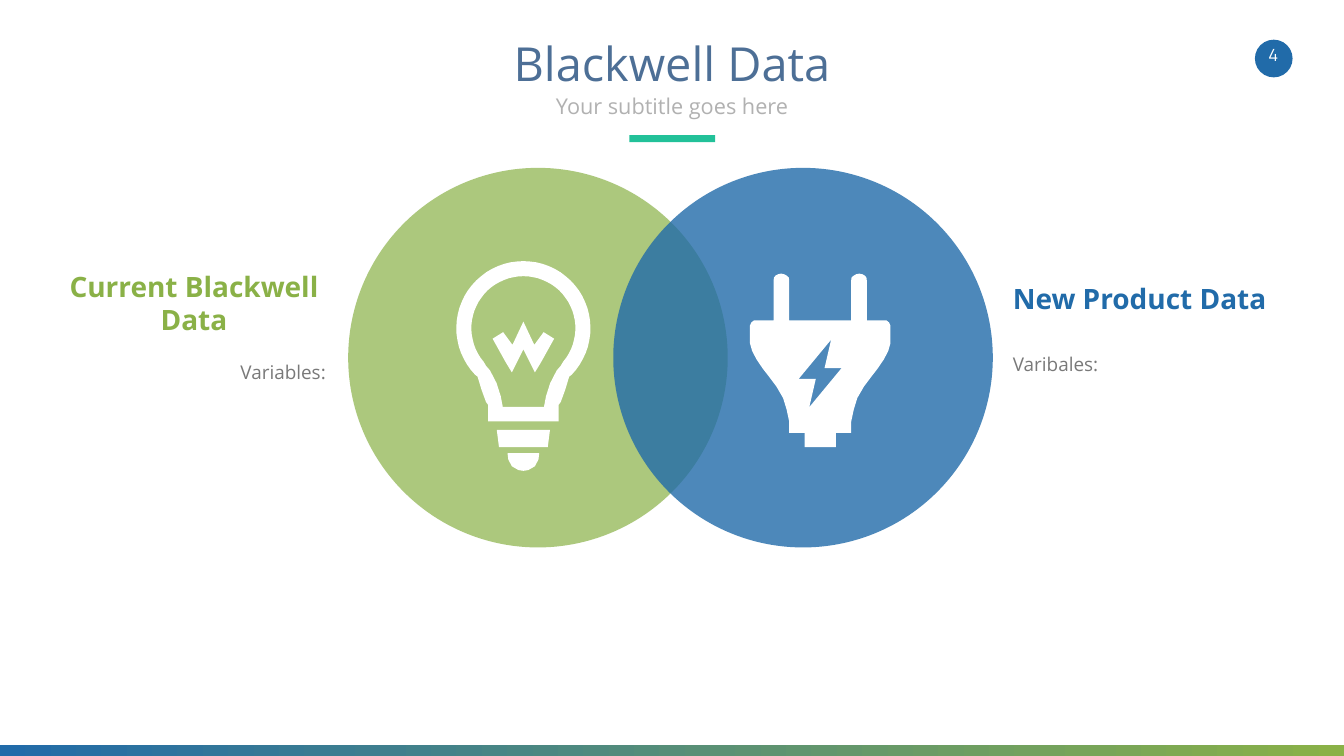
from math import cos, radians, sin

from lxml.etree import SubElement
from pptx import Presentation
from pptx.dml.color import RGBColor
from pptx.enum.shapes import MSO_SHAPE as Shape
from pptx.enum.text import MSO_ANCHOR as Anchor, MSO_AUTO_SIZE as Auto, PP_ALIGN as Align
from pptx.oxml.ns import qn
from pptx.util import Cm, Pt

BLUE, GREEN, TEAL, WHITE = "216BA9", "8AB147", "22C199", "FFFFFF"
SLATE, GREY, PALE = "4D6F96", "797979", "B1B1B1"
UNIT = Cm(0.01)  # icon outlines are in hundredths of a centimetre


def color(code):
    return RGBColor.from_string(code)


def place(item, box):
    item.left, item.top, item.width, item.height = map(Cm, box)


def paint(shape, code, alpha=100):
    shape.shadow.inherit = False
    shape.line.fill.background()
    shape.fill.solid()
    shape.fill.fore_color.rgb = color(code)
    if alpha < 100:
        node = shape.fill._xPr.find(".//" + qn("a:srgbClr"))
        SubElement(node, qn("a:alpha")).set("val", str(alpha * 1000))


def add_shape(slide, kind, box, code, alpha=100):
    shape = slide.shapes.add_shape(kind, *map(Cm, box))
    paint(shape, code, alpha)
    return shape


def add_text(slide, text, box, size, code, item=None, font="Open Sans", bold=False,
             align=Align.LEFT, anchor=Anchor.MIDDLE, pad=(0.25, 0.13), lead=1.0):
    item = item or slide.shapes.add_textbox(0, 0, 0, 0)
    place(item, box)
    frame = item.text_frame
    frame.word_wrap, frame.auto_size = True, Auto.NONE
    frame.vertical_anchor = anchor
    frame.margin_left = frame.margin_right = Cm(pad[0])
    frame.margin_top = frame.margin_bottom = Cm(pad[1])
    para = frame.paragraphs[0]
    para.alignment, para.line_spacing = align, lead
    run = para.add_run()
    run.text = text
    run.font.name, run.font.size, run.font.bold = font, Pt(size), bold
    run.font.color.rgb = color(code)


def add_bar(slide, box):
    bar = add_shape(slide, Shape.RECTANGLE, box, BLUE)
    bar.fill.gradient()
    bar.fill.gradient_angle = 0
    for stop, code, pos in zip(bar.fill.gradient_stops, (BLUE, GREEN), (0, 1)):
        stop.color.rgb = color(code)
        stop.position = pos


def mirror(half):
    return half + [(-x, y) for x, y in reversed(half)]


def arc(mid, radius, end):
    """Points from the top of a circle, clockwise to the end angle."""
    steps = 24
    turns = [radians(-90 + (end + 90) * i / steps) for i in range(steps + 1)]
    return [(radius * cos(t), mid + radius * sin(t)) for t in turns]


def add_icon(slide, left, top, paths):
    """Draw closed outlines around a vertical axis at left."""
    pen = None
    for path in paths:
        spots = [(left * 100 + x, top * 100 + y) for x, y in path]
        if pen is None:
            pen = slide.shapes.build_freeform(*spots[0], scale=UNIT)
        else:
            pen.move_to(*spots[0])
        pen.add_line_segments(spots[1:], close=True)
    paint(pen.convert_to_shape(), WHITE)


def add_plug(slide, left, top):
    body = [(79, 874), (79, 803), (156, 803), (156, 747), (169, 686), (187, 627),
            (220, 570), (255, 523), (290, 478), (321, 432), (343, 390), (354, 351),
            (354, 262), (347, 246), (334, 236)]
    prong = [(235, 236), (235, 36), (233, 20), (225, 10), (212, 3), (197, 0),
             (182, 3), (169, 10), (158, 20), (156, 36), (156, 236)]
    bolt = [(108, 476), (-55, 673), (-22, 530), (-108, 530), (55, 333), (22, 476)]
    add_icon(slide, left, top, [mirror(body + prong), bolt])


def add_bulb(slide, left, top):
    mid = 343
    outer = arc(mid, 338, 44) + [(231, 587), (211, 653), (188, 716), (178, 729), (178, 813)]
    inner = arc(mid, 262, 40) + [(188, 533), (168, 556), (135, 620), (114, 686), (104, 739)]
    wire = [(0, 310), (55, 427), (102, 363), (155, 396), (90, 513), (58, 566), (0, 450)]
    base = [(134, 856), (123, 942)]
    tip = [(80, 973), (76, 1005), (58, 1039), (25, 1058), (0, 1062)]
    add_icon(slide, left, top, [mirror(half) for half in (outer, inner, wire, base, tip)])


def main():
    deck = Presentation()
    deck.slide_width, deck.slide_height = Cm(67.74), Cm(38.1)
    slide = deck.slides.add_slide(deck.slide_layouts[5])

    # Footer bar and page number
    add_bar(slide, (0, 37.57, 67.74, 0.97))
    add_shape(slide, Shape.OVAL, (63.25, 2, 1.9, 1.9), BLUE)
    add_text(slide, "4", (62.69, 2.13, 2.97, 2.03), 24, WHITE, font="Manrope",
             align=Align.CENTER, anchor=Anchor.TOP)

    # Heading
    head = dict(align=Align.CENTER, pad=(0.61, 0.3))
    add_text(slide, "Blackwell Data", (5.08, 1.57, 57.58, 3.15), 67, SLATE,
             item=slide.shapes.title, **head)
    add_text(slide, "Your subtitle goes here", (5.08, 4.39, 57.58, 3), 31, PALE,
             anchor=Anchor.TOP, **head)
    add_shape(slide, Shape.RECTANGLE, (31.72, 6.81, 4.32, 0.36), TEAL)

    # Overlapping circles with their icons
    for left, code, alpha in ((17.55, GREEN, 70), (30.91, BLUE, 80)):
        add_shape(slide, Shape.OVAL, (left, 8.46, 19.13, 19.13), code, alpha)
    add_plug(slide, 41.34, 13.79)
    add_bulb(slide, 26.38, 13.11)

    # Side captions
    name = dict(bold=True, pad=(0.25, 0))
    add_text(slide, "Current Blackwell Data", (2.64, 13.54, 14.27, 3.43), 40, GREEN,
             align=Align.CENTER, **name)
    add_text(slide, "New Product Data", (50.8, 14.17, 14.27, 1.7), 40, BLUE, **name)
    add_text(slide, "Variables: ", (3.58, 16.23, 13.34, 4.7), 27, GREY,
             align=Align.RIGHT, lead=1.3)
    add_text(slide, "Varibales:", (50.8, 15.8, 13.34, 4.7), 27, GREY, lead=1.3)

    deck.save("out.pptx")


if __name__ == "__main__":
    main()
